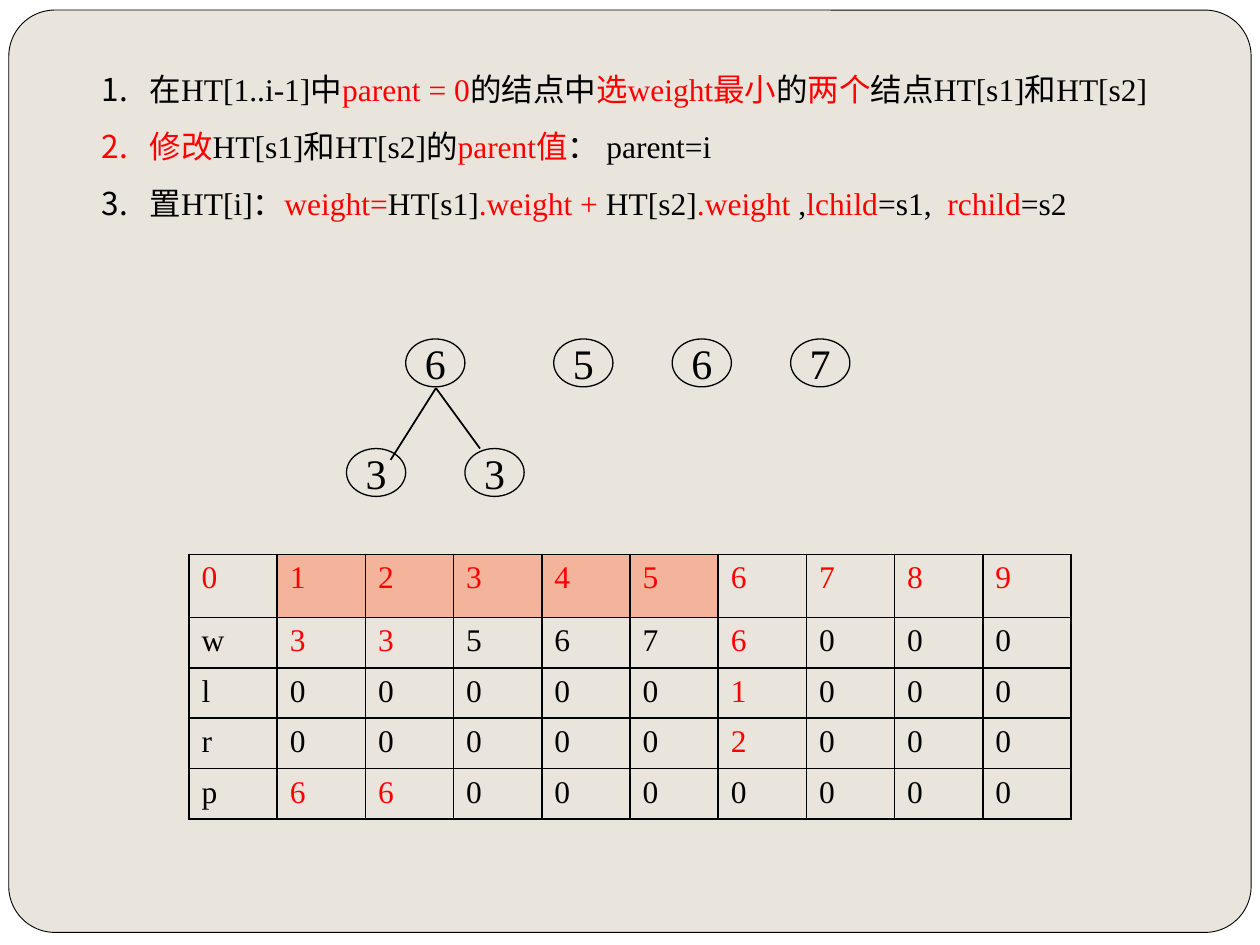
from lxml import etree
from pptx import Presentation
from pptx.dml.color import RGBColor
from pptx.enum.shapes import MSO_CONNECTOR, MSO_SHAPE
from pptx.enum.text import MSO_ANCHOR, MSO_AUTO_SIZE, PP_ALIGN
from pptx.oxml.ns import qn
from pptx.util import Inches, Pt

OVAL, ROUNDED = MSO_SHAPE.OVAL, MSO_SHAPE.ROUNDED_RECTANGLE
STRAIGHT = MSO_CONNECTOR.STRAIGHT
MIDDLE, CENTER = MSO_ANCHOR.MIDDLE, PP_ALIGN.CENTER
FIT_SHAPE = MSO_AUTO_SIZE.SHAPE_TO_FIT_TEXT

COLORS = {"black": "000000", "red": "FF0000", "white": "FFFFFF",
          "paper": "E9E5DC", "leaf": "F4B39B"}
FONT = "Times New Roman"

# Forest grid: one column is one node wide, one row is one tree level
TREE_LEFT, TREE_TOP = 2.75, 2.69
NODE_WIDTH, NODE_HEIGHT, LEVEL = 0.47, 0.38, 0.87
NODES = [("6", 1, 0), ("5", 3.5, 0), ("6", 5.5, 0), ("7", 7.5, 0),
         ("3", 0, 1), ("3", 2, 1)]
EDGE_TOP = (3.46, 3.08)
EDGE_ENDS = [(3.1, 3.65), (3.81, 3.56)]

# Text between bars alternates: black, red, black, ...
STEPS = [
    "在HT[1..i-1]中|parent = 0|的结点中|选weight最小|的|两个|结点HT[s1]和HT[s2]",
    "|修改|HT[s1]和HT[s2]的|parent值|： parent=i",
    "置HT[i]：|weight=|HT[s1]|.weight +| HT[s2]|.weight| ,|lchild|=s1,  |rchild|=s2",
]

ROWS = ["0123456789", "w335676000", "l000001000", "r000002000", "p660000000"]
LEAF_COLUMNS = range(1, 6)
CHANGED = {(1, 1), (1, 2), (1, 6), (2, 6), (3, 6), (4, 1), (4, 2)}


def rgb(name):
    return RGBColor.from_string(COLORS[name])


def style(span, size, color="black"):
    span.font.name = FONT
    span.font.size = Pt(size)
    span.font.color.rgb = rgb(color)


def add_outline(page, kind, left, top, width, height, weight):
    shape = page.shapes.add_shape(
        kind, Inches(left), Inches(top), Inches(width), Inches(height))
    shape.shadow.inherit = False
    shape.fill.background()
    shape.line.color.rgb = rgb("black")
    shape.line.width = Pt(weight)
    return shape


def add_frame(page):
    page.background.fill.solid()
    page.background.fill.fore_color.rgb = rgb("white")
    frame = add_outline(page, ROUNDED, 0.07, 0.08, 9.86, 7.32, 0.5)
    frame.adjustments[0] = 0.05
    frame.fill.solid()
    frame.fill.fore_color.rgb = rgb("paper")


def add_node(page, label, column, level):
    node = add_outline(page, OVAL, TREE_LEFT + column * NODE_WIDTH,
                       TREE_TOP + level * LEVEL, NODE_WIDTH, NODE_HEIGHT, 0.75)
    frame = node.text_frame
    frame.word_wrap = False
    frame.vertical_anchor = MIDDLE
    frame.text = label
    para = frame.paragraphs[0]
    para.alignment = CENTER
    style(para.runs[0], 24)


def add_edge(page, start, end):
    edge = page.shapes.add_connector(
        STRAIGHT, *[Inches(value) for value in start + end])
    edge.line.color.rgb = rgb("black")
    edge.line.width = Pt(1)
    etree.SubElement(edge._element.spPr, qn("a:effectLst"))


def add_steps(page):
    box = page.shapes.add_textbox(
        Inches(0.71), Inches(0.36), Inches(9.16), Inches(1.92))
    frame = box.text_frame
    frame.word_wrap = True
    frame.auto_size = FIT_SHAPE
    for number, step in enumerate(STEPS):
        para = frame.add_paragraph() if number else frame.paragraphs[0]
        para.line_spacing = 1.5
        properties = para._p.get_or_add_pPr()
        properties.set("marL", str(Inches(0.38)))
        properties.set("indent", str(-Inches(0.38)))
        etree.SubElement(properties, qn("a:buFont"), typeface="+mj-lt")
        etree.SubElement(properties, qn("a:buAutoNum"), type="arabicPeriod")
        for index, words in enumerate(step.split("|")):
            if words:
                span = para.add_run()
                span.text = words
                style(span, 18, "red" if index % 2 else "black")


def add_borders(cell):
    properties = cell._tc.get_or_add_tcPr()
    for place, side in enumerate(("lnL", "lnR", "lnT", "lnB")):
        border = etree.Element(qn("a:" + side), w=str(Pt(1)))
        fill = etree.SubElement(border, qn("a:solidFill"))
        etree.SubElement(fill, qn("a:srgbClr"), val=COLORS["black"])
        properties.insert(place, border)


def add_state_table(page):
    table = page.shapes.add_table(
        len(ROWS), len(ROWS[0]), Inches(1.5), Inches(4.4),
        Inches(7), Inches(2.1)).table
    for row, values in enumerate(ROWS):
        table.rows[row].height = Inches(0.4 if row else 0.5)
        for column, value in enumerate(values):
            cell = table.cell(row, column)
            if row == 0 and column in LEAF_COLUMNS:
                cell.fill.solid()
                cell.fill.fore_color.rgb = rgb("leaf")
            else:
                cell.fill.background()
            add_borders(cell)
            cell.text_frame.text = value
            span = cell.text_frame.paragraphs[0].runs[0]
            span.font.bold = False
            is_red = row == 0 or (row, column) in CHANGED
            style(span, 18, "red" if is_red else "black")


def main():
    deck = Presentation()
    deck.slide_width, deck.slide_height = Inches(10), Inches(7.5)
    page = deck.slides.add_slide(deck.slide_layouts[6])
    add_frame(page)
    add_state_table(page)
    # Forest after the first merge
    for label, column, level in NODES:
        add_node(page, label, column, level)
    for end in EDGE_ENDS:
        add_edge(page, EDGE_TOP, end)
    add_steps(page)
    deck.save("out.pptx")


if __name__ == "__main__":
    main()
